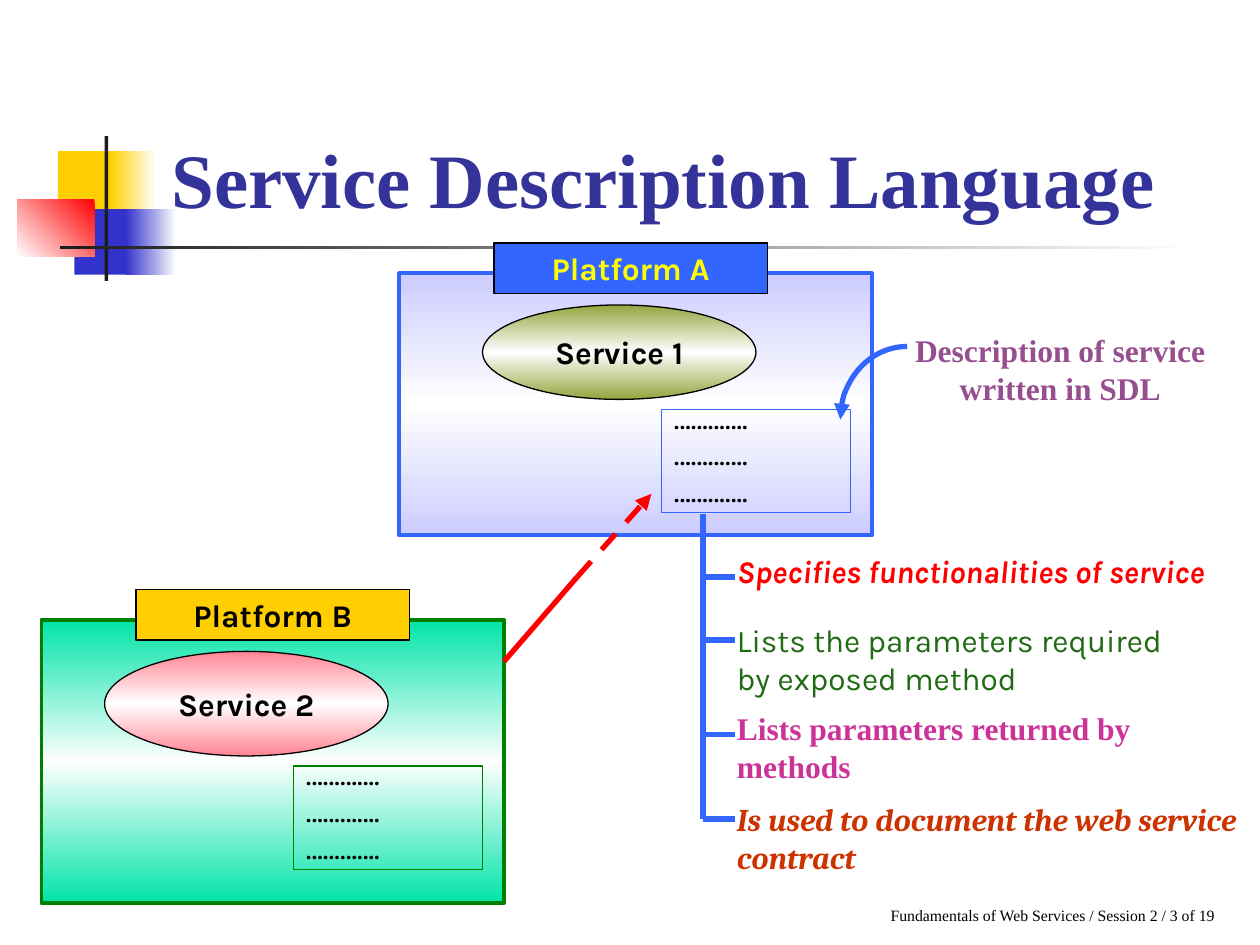
from copy import deepcopy

from lxml.etree import SubElement
from pptx import Presentation
from pptx.dml.color import RGBColor
from pptx.enum.dml import MSO_LINE
from pptx.enum.shapes import MSO_CONNECTOR, MSO_SHAPE
from pptx.enum.text import MSO_ANCHOR, PP_ALIGN
from pptx.oxml.ns import qn
from pptx.util import Inches, Pt

rgb = RGBColor.from_string
BLUE = "3366FF"

prs = Presentation()
prs.slide_width, prs.slide_height = Inches(10), Inches(7.5)
slide = prs.slides.add_slide(prs.slide_layouts[5])


def add_block(kind, box, colors=(), angle=90, line=None, weight=0.75):
    """Add a shape with no fill, one colour, or a gradient at a clockwise angle."""
    block = slide.shapes.add_shape(kind, *map(Inches, box))
    block.shadow.inherit = False
    if not colors:
        block.fill.background()
    elif len(colors) == 1:
        block.fill.solid()
        block.fill.fore_color.rgb = rgb(colors[0])
    else:
        block.fill.gradient()
        block.fill.gradient_angle = -angle % 360
        stop_list = block._element.spPr.find(qn("a:gradFill")).find(qn("a:gsLst"))
        while len(stop_list) < len(colors):
            stop_list.append(deepcopy(stop_list[-1]))
        for i, (stop, color) in enumerate(zip(block.fill.gradient_stops, colors)):
            stop.color.rgb = rgb(color)
            stop.position = i / (len(colors) - 1)
    if line:
        block.line.color.rgb = rgb(line)
        block.line.width = Pt(weight)
    else:
        block.line.fill.background()
    return block


def write(holder, lines, color, font="Karla", size=18, bold=False, italic=False,
          align=PP_ALIGN.LEFT, anchor=MSO_ANCHOR.TOP):
    frame = holder.text_frame
    frame.word_wrap = True
    frame.vertical_anchor = anchor
    frame.text = "\n".join(lines)
    for paragraph in frame.paragraphs:
        paragraph.alignment = align
        style = paragraph.font
        style.name, style.size = font, Pt(size)
        style.bold, style.italic = bold, italic
        style.color.rgb = rgb(color)


# Corner ornament and title rule
for box, colors, angle in [
    ((0.46, 1.2, 0.48, 0.52), ["FFCF01"], 0),
    ((0.88, 1.2, 0.36, 0.52), ["FFFFFF", "FFCF01"], 180),
    ((0.59, 1.66, 0.46, 0.52), ["3333CC"], 0),
    ((1, 1.66, 0.4, 0.52), ["FFFFFF", "3333CC"], 180),
    ((0.14, 1.58, 0.61, 0.46), ["FF0000", "FFFFFF"], 135),
    ((0.83, 1.08, 0.03, 1.15), ["1C1C1C"], 0),
    ((0.48, 1.95, 9, 0.03), ["FFFFFF", "1C1C1C"], 180),
]:
    add_block(MSO_SHAPE.RECTANGLE, box, colors, angle)

title = slide.shapes.title
title.left, title.top, title.width, title.height = map(Inches, (1.26, 0.23, 8.52, 1.6))
write(title, ["Service Description Language"], "333399", "Times New Roman", 44,
      bold=True, anchor=MSO_ANCHOR.BOTTOM)

# Platforms, each with a name, a service and its description document
for (name, name_box, name_fill, name_color, frame_box, frame_fill, border,
     service, service_box, service_fill, document_box) in [
    ("Platform A", (3.92, 1.93, 2.17, 0.4), BLUE, "FFFF00",
     (3.17, 2.17, 3.75, 2.08), "CCCCFF", BLUE,
     "Service 1", (3.83, 2.42, 2.17, 0.75), "94A53F", (5.25, 3.25, 1.5, 0.82)),
    ("Platform B", (1.08, 4.68, 2.17, 0.4), "FFCF01", "000000",
     (0.33, 4.92, 3.67, 2.25), "00E4A8", "008000",
     "Service 2", (0.83, 5.17, 2.25, 0.83), "FF8594", (2.33, 6.08, 1.5, 0.82)),
]:
    add_block(MSO_SHAPE.RECTANGLE, frame_box, [frame_fill, "FFFFFF", frame_fill],
              line=border, weight=2.25)
    label = add_block(MSO_SHAPE.RECTANGLE, name_box, [name_fill], line="000000")
    write(label, [name], name_color, bold=True, align=PP_ALIGN.CENTER)
    oval = add_block(MSO_SHAPE.OVAL, service_box,
                     [service_fill, "FFFFFF", service_fill], line="000000")
    write(oval, [service], "000000", bold=True, align=PP_ALIGN.CENTER,
          anchor=MSO_ANCHOR.MIDDLE)
    document = add_block(MSO_SHAPE.RECTANGLE, document_box, line=border)
    write(document, ["…………."] * 3, "000000")
    for i, paragraph in enumerate(document.text_frame.paragraphs):
        paragraph.line_spacing = 0.45
        paragraph.space_before = Pt(11.2 if i else 0)

# Curved arrow from the note to the description document
note_arrow = add_block(MSO_SHAPE.ARC, (6.67, 2.75, 1.06, 1.16), line=BLUE, weight=3)
for i, degrees in enumerate((180, 270)):
    note_arrow.adjustments[i] = degrees * 0.6
SubElement(note_arrow.line._get_or_add_ln(), qn("a:headEnd"), type="triangle")

# Request arrow between platforms, then the trunk and branches of the list
trunk_x, branch_x = 5.58, 5.83
branches = [(trunk_x, y, branch_x, y) for y in (4.58, 5.08, 5.83, 6.5)]
for ends, color, dashed in [
    ((4, 5.25, 4.58, 4.58), "FF0000", False),
    ((4.58, 4.58, 5.17, 3.92), "FF0000", True),
    *[(ends, BLUE, False) for ends in [(trunk_x, 4.08, trunk_x, 6.5)] + branches],
]:
    connector = slide.shapes.add_connector(MSO_CONNECTOR.STRAIGHT, *map(Inches, ends))
    connector.line.color.rgb = rgb(color)
    connector.line.width = Pt(3)
    if dashed:
        connector.line.dash_style = MSO_LINE.DASH
        SubElement(connector.line._get_or_add_ln(), qn("a:tailEnd"), type="triangle")
    SubElement(connector._element.spPr, qn("a:effectLst"))

for words, box, color, font, size, bold, italic, align in [
    ("Description of service written in SDL", (7.08, 2.58, 2.67, 0.7),
     "964E8F", "Times New Roman", 18, True, False, PP_ALIGN.CENTER),
    ("Specifies functionalities of service", (5.75, 4.33, 3.92, 0.4),
     "FF0000", "Karla", 18, True, True, PP_ALIGN.LEFT),
    ("Lists the parameters required by exposed method", (5.75, 4.88, 3.67, 0.7),
     "206B13", "Karla", 18, False, False, PP_ALIGN.LEFT),
    ("Lists parameters returned by methods", (5.75, 5.58, 4.25, 0.7),
     "CC3399", "Times New Roman", 18, True, False, PP_ALIGN.LEFT),
    ("Is used to document the web service contract", (5.75, 6.3, 4.33, 0.7),
     "CC3300", "Cambria", 18, True, True, PP_ALIGN.LEFT),
    ("Fundamentals of Web Services / Session 2 / 3 of 19", (6.97, 7.14, 3, 0.25),
     "000000", "Times New Roman", 9, False, False, PP_ALIGN.LEFT),
]:
    caption = slide.shapes.add_textbox(*map(Inches, box))
    write(caption, [words], color, font, size, bold, italic, align)

prs.save("out.pptx")
